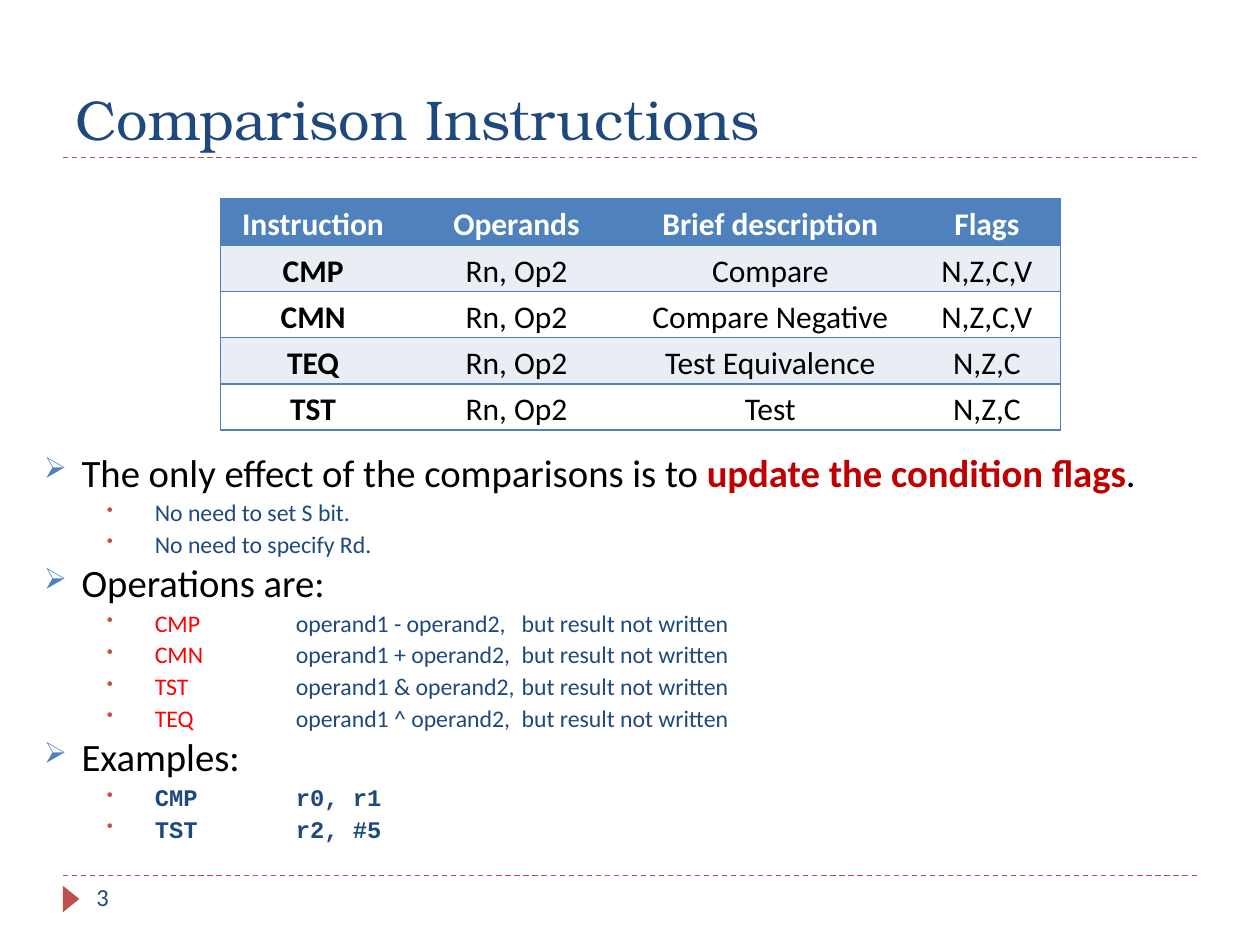
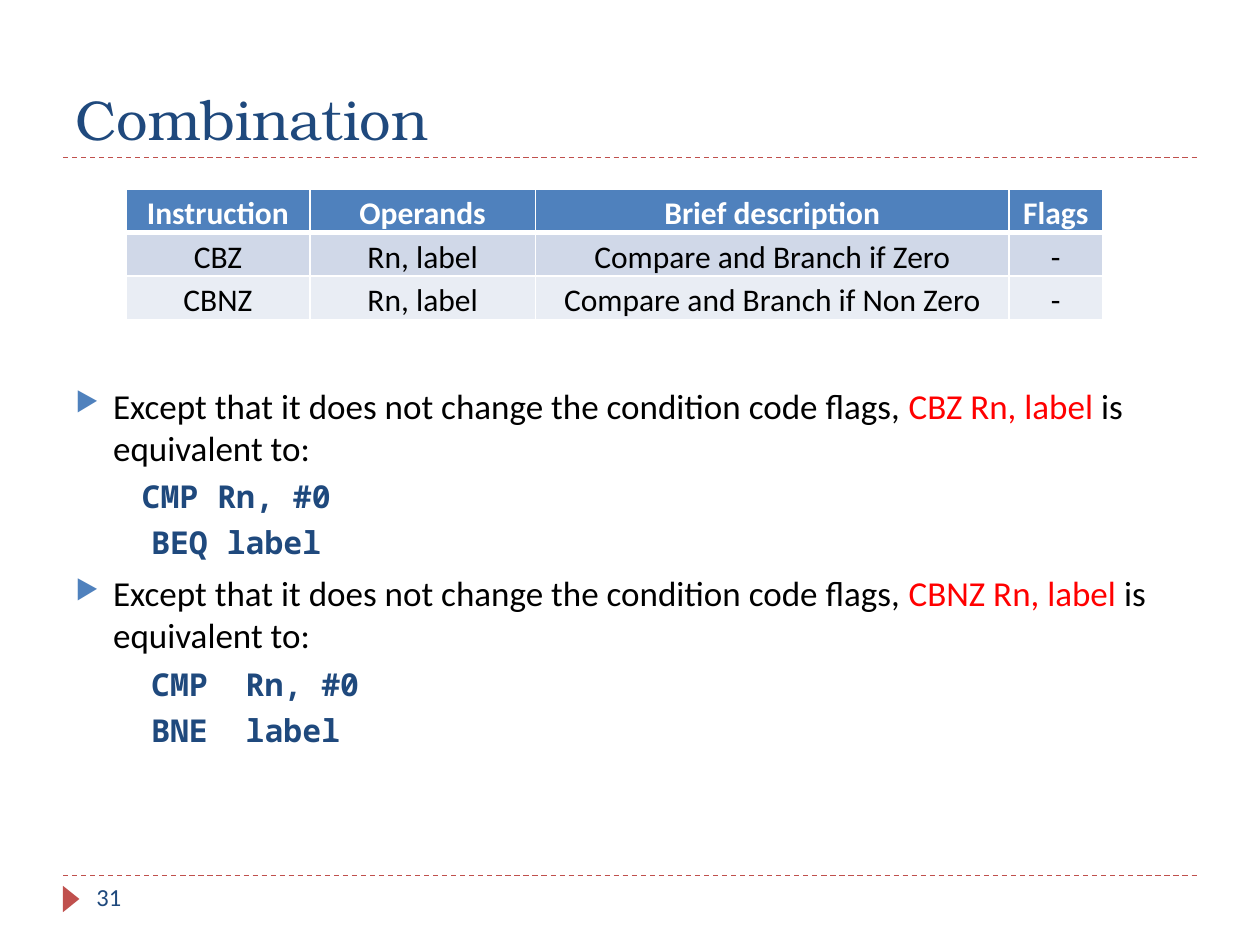
from lxml import etree
from pptx import Presentation
from pptx.dml.color import RGBColor
from pptx.enum.dml import MSO_LINE
from pptx.enum.shapes import MSO_CONNECTOR, MSO_SHAPE
from pptx.enum.text import MSO_ANCHOR, PP_ALIGN
from pptx.oxml.ns import qn
from pptx.util import Pt

COLORS = {
    "navy": "1F497D", "blue": "4F81BD", "brick": "C0504D", "black": "000000",
    "white": "FFFFFF", "red": "FF0000", "dark_red": "C00000",
    "band_dark": "D0D8E8", "band_light": "E9EDF4",
}
BODY_FONT, TITLE_FONT = "Calibri", "TeX Gyre Bonum"
HEADINGS = ["Instruction", "Operands", "Brief description", "Flags"]

# Paragraph styles: font, size, colour, bold, indents, spacing and bullet
POINT = dict(font=BODY_FONT, size=22.1, color="black", bold=False, left=21.6,
             hang=21.6, before=6, spacing=0.8, bullet=("➢", "blue"))
DETAIL = dict(POINT, size=13.6, color="navy", left=63.4, hang=27.4, before=5,
              bullet=("•", "brick"), tabs=(144, 273))
EXAMPLE = dict(DETAIL, font="Courier New", bold=True)
CLAIM = dict(POINT, size=20, spacing=1, bullet=("▶", "blue"))
CODE = dict(CLAIM, font="Noto Sans Mono", size=18, color="navy", bold=True,
            left=43.3, hang=0, before=5, bullet=None)


def rgb(name):
    return RGBColor.from_string(COLORS[name])


def add_element(parent, tag, **attributes):
    return etree.SubElement(parent, qn(tag), attributes)


def style_run(run, font, size, color, bold=False):
    run.font.name = font
    run.font.size = Pt(size)
    run.font.bold = bold
    run.font.color.rgb = rgb(color)


def add_text_box(slide, left, top, width, height, anchor=MSO_ANCHOR.TOP):
    frame = slide.shapes.add_textbox(Pt(left), Pt(top), Pt(width), Pt(height)).text_frame
    frame.word_wrap = True
    frame.vertical_anchor = anchor
    return frame


def add_label(slide, text, box, font, size, anchor=MSO_ANCHOR.TOP):
    frame = add_text_box(slide, *box, anchor)
    frame.text = text
    style_run(frame.paragraphs[0].runs[0], font, size, "navy")


def add_rule(slide, y):
    rule = slide.shapes.add_connector(MSO_CONNECTOR.STRAIGHT, Pt(36), Pt(y), Pt(684), Pt(y))
    rule.line.color.rgb = rgb("brick")
    rule.line.width = Pt(0.75)
    rule.line.dash_style = MSO_LINE.DASH
    add_element(rule._element.spPr, "a:effectLst")


def add_page(deck, title, number):
    """Blank slide with the shared title, dashed rules and page marker."""
    slide = deck.slides.add_slide(deck.slide_layouts[6])
    for y in (500.4, 90):
        add_rule(slide, y)
    marker = slide.shapes.add_shape(MSO_SHAPE.ISOSCELES_TRIANGLE,
                                    Pt(33.1), Pt(509), Pt(15.1), Pt(9.4))
    marker.rotation = 90
    marker.shadow.inherit = False
    marker.fill.solid()
    marker.fill.fore_color.rgb = rgb("brick")
    marker.line.fill.background()
    add_label(slide, title, (36, 12.2, 648, 77.8), TITLE_FONT, 32, MSO_ANCHOR.BOTTOM)
    add_label(slide, number, (48, 500.4, 156, 28.8), BODY_FONT, 14)
    return slide


def set_bullet_and_tabs(paragraph, style):
    props = paragraph._p.get_or_add_pPr()
    props.set("marL", str(Pt(style["left"])))
    props.set("indent", str(-Pt(style["hang"])))
    if style["bullet"]:
        symbol, color = style["bullet"]
        add_element(add_element(props, "a:buClr"), "a:srgbClr", val=COLORS[color])
        add_element(props, "a:buSzPct", val="76000")
        add_element(props, "a:buChar", char=symbol)
    else:
        add_element(props, "a:buNone")
    if "tabs" in style:
        stops = add_element(props, "a:tabLst")
        for stop in style["tabs"]:
            add_element(stops, "a:tab", pos=str(Pt(stop)), algn="l")


def add_body(slide, box, items):
    """Each item is a style and its parts: text, or (text, overrides)."""
    frame = add_text_box(slide, *box)
    for index, (style, *parts) in enumerate(items):
        paragraph = frame.add_paragraph() if index else frame.paragraphs[0]
        set_bullet_and_tabs(paragraph, style)
        paragraph.line_spacing = style["spacing"]
        paragraph.space_before = Pt(style["before"] if index else 0)
        for part in parts:
            text, changes = (part, {}) if isinstance(part, str) else part
            run = paragraph.add_run()
            run.text = text
            look = {key: style[key] for key in ("font", "size", "color", "bold")}
            style_run(run, **{**look, **changes})


def set_borders(cell, color, widths):
    """Widths in points for left, right, top and bottom; 0 hides the edge."""
    props = cell._tc.get_or_add_tcPr()
    for position, (side, width) in enumerate(zip("LRTB", widths)):
        edge = etree.Element(qn(f"a:ln{side}"), w=str(Pt(width)))
        if width:
            add_element(add_element(edge, "a:solidFill"), "a:srgbClr", val=COLORS[color])
        else:
            add_element(edge, "a:noFill")
        props.insert(position, edge)


def add_instruction_table(slide, left, top, col_widths, row_height, records,
                          bands, border_color, border_rule, bold_names=False):
    rows = [HEADINGS, *records]
    table = slide.shapes.add_table(
        len(rows), len(HEADINGS), Pt(left), Pt(top),
        Pt(sum(col_widths)), Pt(row_height * len(rows))).table
    table.first_row = table.horz_banding = False
    for column, width in zip(table.columns, col_widths):
        column.width = Pt(width)
    for r, record in enumerate(rows):
        table.rows[r].height = Pt(row_height)
        for c, text in enumerate(record):
            cell = table.cell(r, c)
            cell.margin_left = cell.margin_right = Pt(5)
            cell.margin_top = cell.margin_bottom = 0
            cell.vertical_anchor = MSO_ANCHOR.MIDDLE
            cell.fill.solid()
            cell.fill.fore_color.rgb = rgb(bands[(r - 1) % 2] if r else "blue")
            set_borders(cell, border_color, border_rule(r, c))
            paragraph = cell.text_frame.paragraphs[0]
            paragraph.text = text
            paragraph.alignment = PP_ALIGN.CENTER
            paragraph.line_spacing = 1.15
            style_run(paragraph.runs[0], BODY_FONT, 18, "black" if r else "white",
                      r == 0 or (bold_names and c == 0))


def outlined_rows(row, col):
    return int(col == 0), int(col == len(HEADINGS) - 1), 1, 1


def white_grid(row, col):
    return 1, 1, 3 if row == 1 else 1, 3 if row == 0 else 1


def build_comparison(deck):
    slide = add_page(deck, "Comparison Instructions", "3")
    operations = [("CMP", "-"), ("CMN", "+"), ("TST", "&"), ("TEQ", "^")]
    add_body(slide, (18, 257.8, 671.8, 232.6), [
        (POINT, "The only effect of the comparisons is to ",
         ("update the condition flags", dict(color="dark_red", bold=True)), "."),
        (DETAIL, "No need to set S bit."),
        (DETAIL, "No need to specify Rd."),
        (POINT, "Operations are:"),
        *[(DETAIL, (name, dict(color="red")),
           f"\toperand1 {sign} operand2,\tbut result not written")
          for name, sign in operations],
        (POINT, "Examples:"),
        (EXAMPLE, "CMP\tr0, r1"),
        (EXAMPLE, "TST\tr2, #5"),
    ])
    add_instruction_table(
        slide, 126, 113.8, [105.8, 126.7, 163.4, 84.2], 26.4,
        [("CMP", "Rn, Op2", "Compare", "N,Z,C,V"),
         ("CMN", "Rn, Op2", "Compare Negative", "N,Z,C,V"),
         ("TEQ", "Rn, Op2", "Test Equivalence", "N,Z,C"),
         ("TST", "Rn, Op2", "Test", "N,Z,C")],
        ("band_light", "white"), "blue", outlined_rows, bold_names=True)


def build_combination(deck):
    slide = add_page(deck, "Combination", "31")
    red = dict(color="red")
    lead = "Except that it does not change the condition code flags, "
    add_body(slide, (36, 216, 648, 268.6), [
        (CLAIM, lead, ("CBZ Rn, label", red), " is equivalent to:"),
        (dict(CODE, left=37.9), "CMP Rn, #0"),
        (CODE, "BEQ label"),
        (CLAIM, lead, ("CBNZ Rn, label ", red), "is equivalent to:"),
        (CODE, "CMP  Rn, #0"),
        (CODE, "BNE  label"),
    ])
    add_instruction_table(
        slide, 72, 108, [105.1, 128.9, 270.7, 53.3], 23.3,
        [("CBZ", "Rn, label", "Compare and Branch if Zero", "-"),
         ("CBNZ", "Rn, label", "Compare and Branch if Non Zero", "-")],
        ("band_dark", "band_light"), "white", white_grid)


def main():
    deck = Presentation()
    deck.slide_width, deck.slide_height = Pt(720), Pt(540)
    build_comparison(deck)
    build_combination(deck)
    deck.save("out.pptx")


if __name__ == "__main__":
    main()
